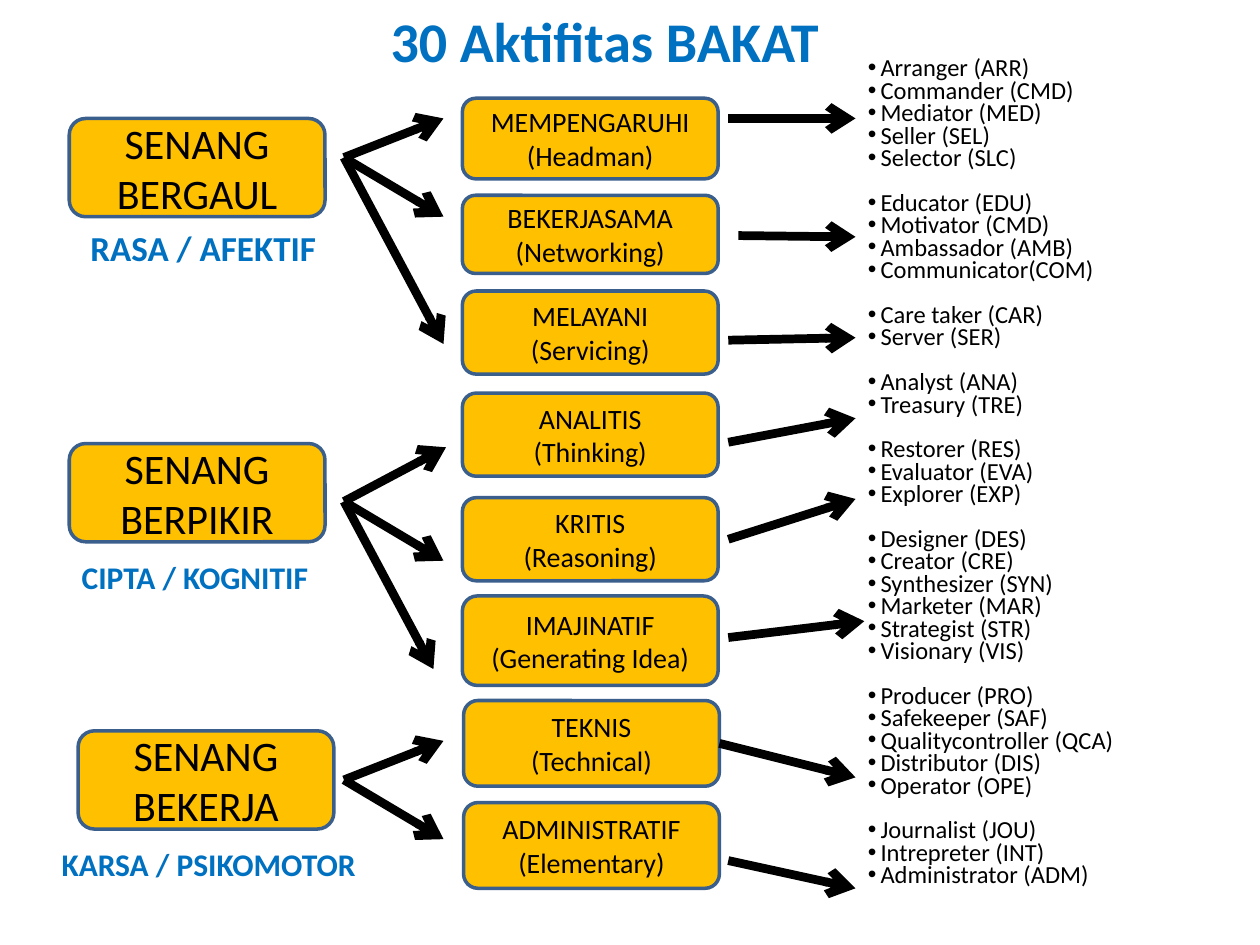
from dataclasses import dataclass

from lxml import etree
from pptx import Presentation
from pptx.dml.color import RGBColor as RGB
from pptx.enum.shapes import MSO_CONNECTOR as CONN, MSO_SHAPE as SHAPE
from pptx.enum.text import MSO_ANCHOR as ANCHOR, MSO_AUTO_SIZE as FIT, PP_ALIGN as ALIGN
from pptx.oxml.ns import qn
from pptx.util import Inches, Pt


@dataclass(frozen=True)
class Theme:
    font: str = "Calibri"
    ink: RGB = RGB(0x00, 0x00, 0x00)
    accent: RGB = RGB(0x00, 0x70, 0xC0)
    card: RGB = RGB(0xFF, 0xC0, 0x00)
    border: RGB = RGB(0x3A, 0x5F, 0x8C)
    title: int = 32
    group: int = 24
    talent: int = 16
    activity: int = 14
    card_line: int = 2
    arrow_line: int = 5
    card_width: float = 2.03


T = Theme()

BRANCHES = [
    ((0.55, 0.94), "SENANG BERGAUL", "RASA / AFEKTIF", (0.07, 0.81, 2.03, 0.44), 20,
     (2.18, 0.31), [(2.97, 0), (2.97, 0.78), (2.97, 1.79)]),
    ((0.55, 3.52), "SENANG BERPIKIR", "CIPTA / KOGNITIF", (0, 0.86, 2.03, 0.4), 18,
     (2.18, 0.46), [(2.97, 0.93), (2.99, 0.03), (2.89, 1.79)]),
    ((0.62, 5.8), "SENANG BEKERJA", "KARSA / PSIKOMOTOR", (-0.23, 0.86, 2.58, 0.4), 18,
     (2.11, 0.39), [(2.9, 0.08), (2.9, 0.86)]),
]

TALENTS = [
    ((3.67, 0.78, 0.64), "MEMPENGARUHI", "(Headman)", (2.11, 0.16), (3.12, 0.16)),
    ((3.67, 1.55, 0.62), "BEKERJASAMA", "(Networking)", (2.19, 0.32), (3.12, 0.33)),
    ((3.67, 2.31, 0.66), "MELAYANI", "(Servicing)", (2.11, 0.39), (3.12, 0.37)),
    ((3.67, 3.12, 0.66), "ANALITIS", "(Thinking)", (2.11, 0.39), (3.12, 0.2)),
    ((3.67, 3.95, 0.66), "KRITIS", "(Reasoning)", (2.11, 0.33), (3.12, 0.01)),
    ((3.67, 4.73, 0.71), "IMAJINATIF", "(Generating Idea)", (2.11, 0.33), (3.19, 0.2)),
    ((3.68, 5.56, 0.68), "TEKNIS", "(Technical)", None, (3.11, 0.61)),
    ((3.68, 6.37, 0.68), "ADMINISTRATIF", "(Elementary)", (2.1, 0.46), (3.11, 0.68)),
]

ACTIVITIES = [
    ["Arranger (ARR)", "Commander (CMD)", "Mediator (MED)", "Seller (SEL)", "Selector (SLC)"],
    ["Educator (EDU)", "Motivator (CMD)", "Ambassador (AMB)", "Communicator(COM)"],
    ["Care taker (CAR)", "Server (SER)"],
    ["Analyst (ANA)", "Treasury (TRE)"],
    ["Restorer (RES)", "Evaluator (EVA)", "Explorer (EXP)"],
    ["Designer (DES)", "Creator (CRE)", "Synthesizer (SYN)", "Marketer (MAR)",
     "Strategist (STR)", "Visionary (VIS)"],
    ["Producer (PRO)", "Safekeeper (SAF)", "Qualitycontroller (QCA)", "Distributor (DIS)",
     "Operator (OPE)"],
    ["Journalist (JOU)", "Intrepreter (INT)", "Administrator (ADM)"],
]


def assign(obj, values):
    for name, value in values.items():
        setattr(obj, name, value)


def write(p, text, size, color=T.ink, bold=False):
    r = p.add_run()
    r.text = text
    assign(r.font, {"name": T.font, "size": Pt(size), "bold": bold})
    r.font.color.rgb = color


def add_card(slide, box, lines, size):
    sp = slide.shapes.add_shape(SHAPE.ROUNDED_RECTANGLE, *map(Inches, box))
    sp.shadow.inherit = False
    sp.fill.solid()
    sp.fill.fore_color.rgb = T.card
    sp.line.color.rgb = T.border
    sp.line.width = Pt(T.card_line)
    tf = sp.text_frame
    assign(tf, {"word_wrap": True, "vertical_anchor": ANCHOR.MIDDLE})
    for i, line in enumerate(lines):
        p = tf.add_paragraph() if i else tf.paragraphs[0]
        p.alignment = ALIGN.CENTER
        write(p, line, size)
    return sp


def add_label(slide, box, text, size, align=ALIGN.LEFT):
    tf = slide.shapes.add_textbox(*map(Inches, box)).text_frame
    assign(tf, {"word_wrap": True, "auto_size": FIT.SHAPE_TO_FIT_TEXT})
    p = tf.paragraphs[0]
    p.alignment = align
    write(p, text, size, T.accent, True)


def add_arrow(slide, x, y, start, end):
    ends = x + start[0], y + start[1], x + end[0], y + end[1]
    line = slide.shapes.add_connector(CONN.STRAIGHT, *map(Inches, ends))
    line.line.color.rgb = T.ink
    line.line.width = Pt(T.arrow_line)
    etree.SubElement(line.line._get_or_add_ln(), qn("a:tailEnd"), type="arrow")
    etree.SubElement(line._element.spPr, qn("a:effectLst"))
    return line


def draw_branch(slide, origin, name, caption, caption_box, size, hub, tips):
    x, y = origin
    add_card(slide, (x, y, T.card_width, 0.78), [name], T.group)
    dx, dy, w, h = caption_box
    add_label(slide, (x + dx, y + dy, w, h), caption, size)
    for tip in tips:
        add_arrow(slide, x, y, hub, tip)


def draw_talent(slide, box, name, english, start, tip):
    x, y, h = box
    card = add_card(slide, (x, y, T.card_width, h), [name, english], T.talent)
    line = add_arrow(slide, x, y, start or (T.card_width, h / 2), tip)
    if start is None:
        line.begin_connect(card, 3)


def draw_activities(slide, box, groups):
    tf = slide.shapes.add_textbox(*map(Inches, box)).text_frame
    assign(tf, {"word_wrap": True, "margin_top": Inches(0.12), "margin_bottom": Inches(0.12)})
    for g, group in enumerate(groups):
        for i, activity in enumerate(group):
            first = g == 0 and i == 0
            p = tf.paragraphs[0] if first else tf.add_paragraph()
            gap = 0 if first else 2.8 if i else 15.6
            assign(p, {"line_spacing": Pt(10), "space_before": Pt(gap)})
            pPr = p._p.get_or_add_pPr()
            pPr.set("marL", str(Inches(0.1)))
            pPr.set("indent", str(Inches(-0.1)))
            etree.SubElement(pPr, qn("a:buFont"), typeface="Arial")
            etree.SubElement(pPr, qn("a:buChar"), char="•")
            write(p, activity, T.activity)


def main():
    prs = Presentation()
    assign(prs, {"slide_width": Inches(10), "slide_height": Inches(7.5)})
    slide = prs.slides.add_slide(prs.slide_layouts[6])
    add_label(slide, (2.34, 0, 4.92, 0.64), "30 Aktifitas BAKAT", T.title, ALIGN.CENTER)
    for branch in BRANCHES:
        draw_branch(slide, *branch)
    draw_activities(slide, (6.79, 0.39, 2.7, 6.51), ACTIVITIES)
    for talent in TALENTS:
        draw_talent(slide, *talent)
    prs.save("out.pptx")


if __name__ == "__main__":
    main()
